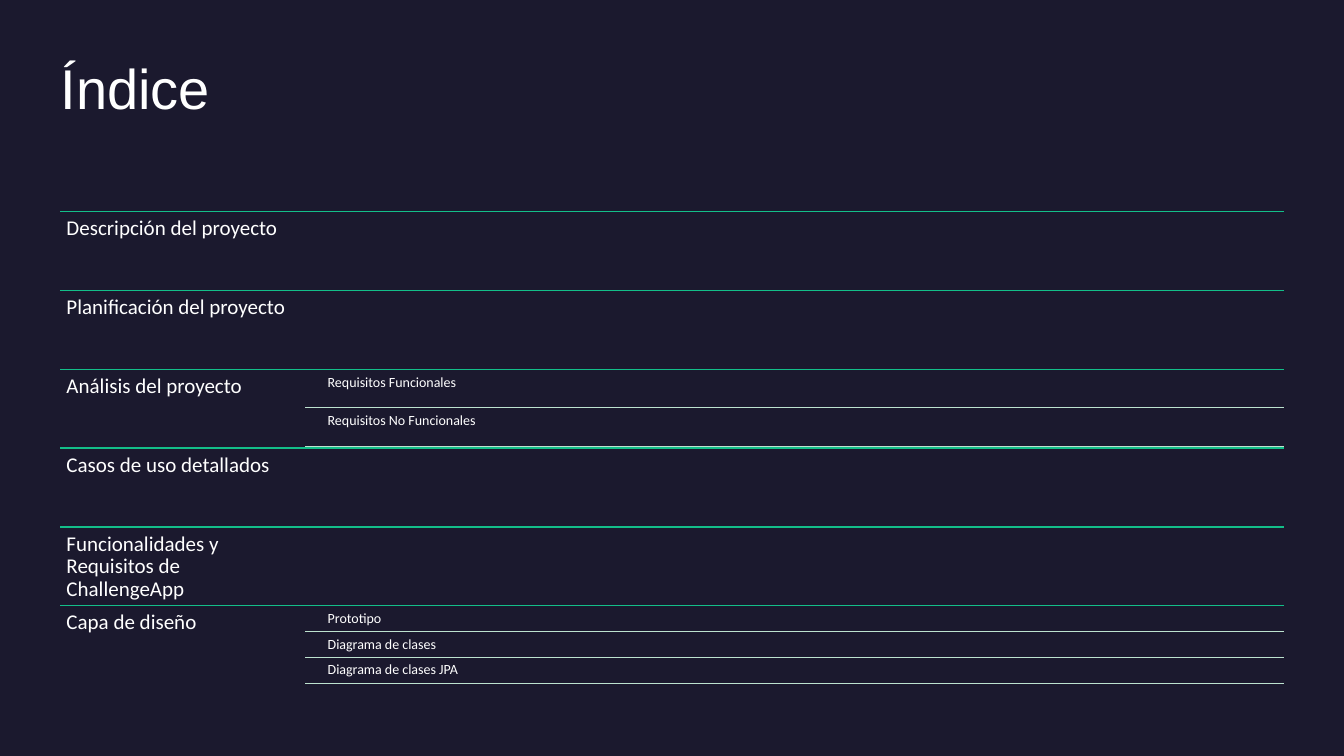
from dataclasses import dataclass

from lxml.etree import SubElement
from pptx import Presentation
from pptx.dml.color import RGBColor
from pptx.enum.shapes import MSO_CONNECTOR
from pptx.enum.text import MSO_ANCHOR, MSO_AUTO_SIZE, PP_ALIGN
from pptx.oxml.ns import qn
from pptx.shapes.group import GroupShape
from pptx.text.text import TextFrame
from pptx.util import Inches, Pt

COLOURS = {
    "background": "1B192E",
    "text": "FFFFFF",
    "section_line": "13BE89",
    "topic_line": "BDE2CF",
}

LEFT, RIGHT = 0.6, 12.73
INDEX_TOP, SECTION_HEIGHT = 2.1, 0.782
SECTION_WIDTH = 2.43
TOPIC_LINE_LEFT = LEFT + SECTION_WIDTH
TOPIC_LEFT = 3.21
GAP_RATIO = 0.05  # gap between topics, as a share of a topic's height


@dataclass(frozen=True)
class Section:
    name: str
    topics: tuple[str, ...] = ()


@dataclass(frozen=True)
class TextStyle:
    font: str
    size: float
    inset: float


TITLE_STYLE = TextStyle("Arial", 40, 0)
SECTION_STYLE = TextStyle("Calibri", 15, 0.06)
TOPIC_STYLE = TextStyle("Calibri", 10, 0.04)

SECTIONS = (
    Section("Descripción del proyecto"),
    Section("Planificación del proyecto"),
    Section("Análisis del proyecto",
            ("Requisitos Funcionales", "Requisitos No Funcionales")),
    Section("Casos de uso detallados"),
    Section("Funcionalidades y Requisitos de ChallengeApp"),
    Section("Capa de diseño",
            ("Prototipo", "Diagrama de clases", "Diagrama de clases JPA")),
)


def colour(name: str) -> RGBColor:
    return RGBColor.from_string(COLOURS[name])


def set_attributes(target: object, values: dict[str, object]) -> None:
    for name, value in values.items():
        setattr(target, name, value)


def write_text(frame: TextFrame, text: str, style: TextStyle) -> None:
    margins = {f"margin_{side}": Inches(style.inset)
               for side in ("left", "top", "right", "bottom")}
    set_attributes(frame, margins | {
        "word_wrap": True,
        "auto_size": MSO_AUTO_SIZE.NONE,
        "vertical_anchor": MSO_ANCHOR.TOP,
    })
    para = frame.paragraphs[0]
    set_attributes(para, {"alignment": PP_ALIGN.LEFT, "line_spacing": 0.9})
    span = para.add_run()
    span.text = text
    set_attributes(span.font, {"name": style.font, "size": Pt(style.size)})
    span.font.color.rgb = colour("text")


def add_text(group: GroupShape, text: str, style: TextStyle, left: float,
             top: float, width: float, height: float) -> None:
    box = group.shapes.add_textbox(
        Inches(left), Inches(top), Inches(width), Inches(height))
    write_text(box.text_frame, text, style)


def add_rule(group: GroupShape, left: float, top: float, colour_name: str) -> None:
    """Draw a horizontal line from left to the right margin."""
    rule = group.shapes.add_connector(
        MSO_CONNECTOR.STRAIGHT,
        Inches(left), Inches(top), Inches(RIGHT), Inches(top))
    rule.line.color.rgb = colour(colour_name)
    rule.line.width = Pt(1)
    SubElement(rule._element.spPr, qn("a:effectLst"))


def add_topics(group: GroupShape, topics: tuple[str, ...], top: float) -> None:
    """Share the section's height among its topics, with gaps around each."""
    count = len(topics)
    height = SECTION_HEIGHT / (count + (count + 1) * GAP_RATIO)
    gap = height * GAP_RATIO
    for index, topic in enumerate(topics):
        topic_top = top + gap + index * (height + gap)
        add_text(group, topic, TOPIC_STYLE,
                 TOPIC_LEFT, topic_top, RIGHT - TOPIC_LEFT, height)
        add_rule(group, TOPIC_LINE_LEFT, topic_top + height, "topic_line")


def add_section(group: GroupShape, section: Section, top: float) -> None:
    add_rule(group, LEFT, top, "section_line")
    add_text(group, section.name, SECTION_STYLE,
             LEFT, top, SECTION_WIDTH, SECTION_HEIGHT)
    add_topics(group, section.topics, top)


def main() -> None:
    deck = Presentation()
    set_attributes(deck, {"slide_width": Inches(13.33), "slide_height": Inches(7.5)})
    title_only = deck.slide_layouts.get_by_name("Title Only")
    page = deck.slides.add_slide(title_only)
    page.background.fill.solid()
    page.background.fill.fore_color.rgb = colour("background")

    title = page.shapes.title
    set_attributes(title, {
        "left": Inches(LEFT), "top": Inches(0.61),
        "width": Inches(RIGHT - LEFT), "height": Inches(1.3),
    })
    write_text(title.text_frame, "Índice", TITLE_STYLE)

    index_group = page.shapes.add_group_shape()
    for position, section in enumerate(SECTIONS):
        add_section(index_group, section, INDEX_TOP + position * SECTION_HEIGHT)
    deck.save("out.pptx")


if __name__ == "__main__":
    main()
